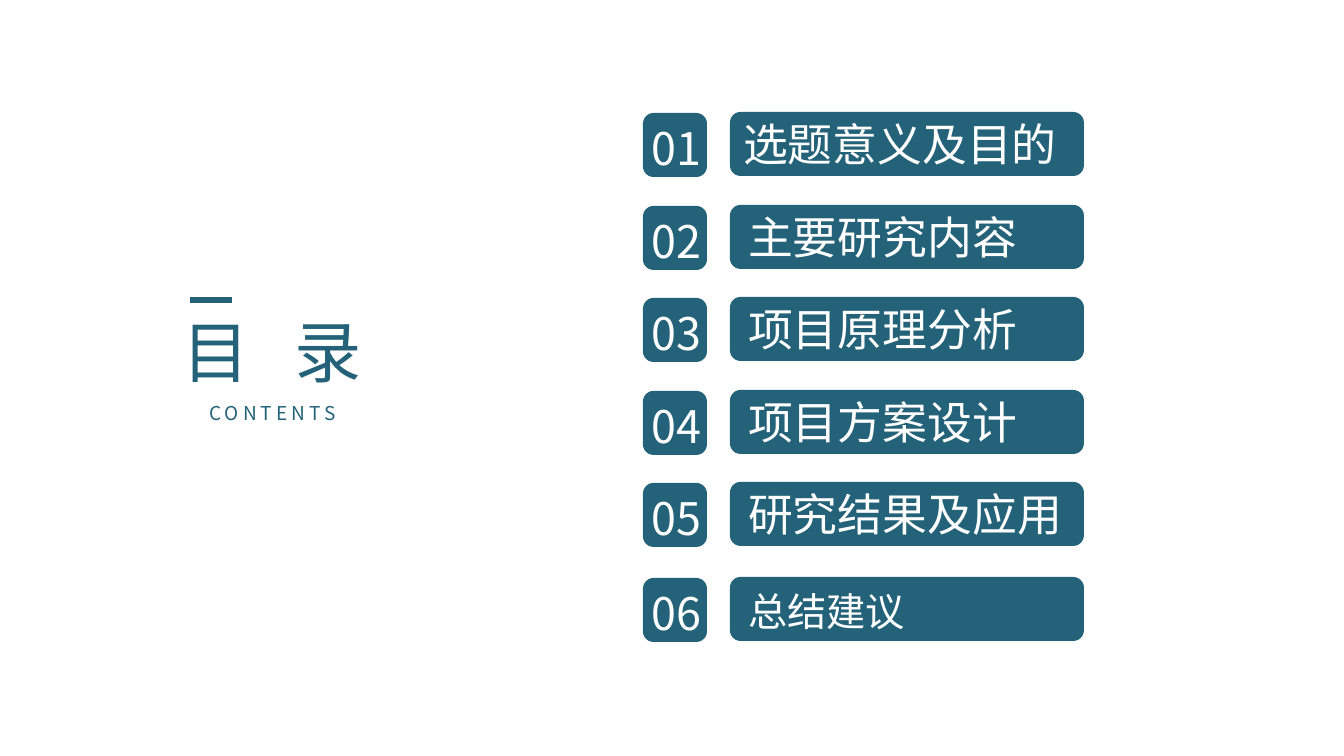
from lxml.etree import SubElement
from pptx import Presentation
from pptx.dml.color import RGBColor
from pptx.enum.shapes import MSO_CONNECTOR, MSO_SHAPE
from pptx.enum.text import MSO_ANCHOR, MSO_AUTO_SIZE, PP_ALIGN
from pptx.oxml.ns import qn
from pptx.util import Emu, Pt

FONT = "Noto Sans CJK SC"
TEAL = "236278"
WHITE = "FFFFFF"
EMU_PER_PX = 914400 / 134.4

TITLE = "目 录"
SUBTITLE = "CONTENTS"
# section name, row top, label left, label offset, label size
SECTIONS = [
    ("选题意义及目的", 113, 730, -3, 24),
    ("主要研究内容", 206, 735, -3, 24),
    ("项目原理分析", 298, 735, -3, 24),
    ("项目方案设计", 391, 735, -3, 24),
    ("研究结果及应用", 483, 735, -3, 24),
    ("总结建议", 578, 735, 3, 21),
]
TILE_LEFT, TILE_SIZE = 643, 64
BAR_LEFT, BAR_WIDTH = 730, 354
NUMBER_LEFT, NUMBER_WIDTH = 638, 81
LABEL_WIDTH, TEXT_HEIGHT = 360, 67


def px(value):
    return Emu(round(value * EMU_PER_PX))


def color(value):
    return RGBColor.from_string(value)


def write(shape, text, size, text_color, align=PP_ALIGN.LEFT, spacing=0):
    frame = shape.text_frame
    frame.text = text
    frame.word_wrap = True
    frame.auto_size = MSO_AUTO_SIZE.SHAPE_TO_FIT_TEXT
    frame.vertical_anchor = MSO_ANCHOR.TOP
    paragraph = frame.paragraphs[0]
    paragraph.alignment = align
    for run in paragraph.runs:
        run.font.size = Pt(size)
        run.font.name = FONT
        run.font.color.rgb = color(text_color)
        properties = run.font._element
        SubElement(properties, qn("a:ea")).set("typeface", FONT)
        if spacing:
            properties.set("spc", str(round(spacing * 100)))


def add_text(slide, left, top, width, height, *text_format):
    box = slide.shapes.add_textbox(px(left), px(top), px(width), px(height))
    write(box, *text_format)


def add_panel(slide, left, top, width):
    panel = slide.shapes.add_shape(
        MSO_SHAPE.ROUNDED_RECTANGLE, px(left), px(top), px(width), px(TILE_SIZE))
    panel.shadow.inherit = False
    panel.fill.solid()
    panel.fill.fore_color.rgb = color(TEAL)
    panel.line.fill.background()


def add_heading(slide):
    title = slide.shapes.title
    title.left, title.top, title.width, title.height = map(px, (169, 304, 224, 95))
    write(title, TITLE, 36, TEAL, PP_ALIGN.LEFT, 8)
    add_text(slide, 169, 395, 207, 36, SUBTITLE, 10.2, TEAL, PP_ALIGN.CENTER, 2.2)
    accent = slide.shapes.add_connector(
        MSO_CONNECTOR.STRAIGHT, px(190), px(300), px(232), px(300))
    accent.line.color.rgb = color(TEAL)
    accent.line.width = Pt(3)
    SubElement(accent._element.spPr, qn("a:effectLst"))


def add_sections(slide):
    for number, (name, top, left, offset, size) in enumerate(SECTIONS, 1):
        add_panel(slide, TILE_LEFT, top, TILE_SIZE)
        add_text(slide, NUMBER_LEFT, top + 1, NUMBER_WIDTH, TEXT_HEIGHT,
                 f"{number:02}", 24, WHITE)
        add_panel(slide, BAR_LEFT, top - 1, BAR_WIDTH)
        add_text(slide, left, top + offset, LABEL_WIDTH, TEXT_HEIGHT,
                 name, size, WHITE)


def main():
    presentation = Presentation()
    presentation.slide_width, presentation.slide_height = px(1344), px(756)
    slide = presentation.slides.add_slide(presentation.slide_layouts[5])
    add_heading(slide)
    add_sections(slide)
    presentation.save("out.pptx")


if __name__ == "__main__":
    main()
